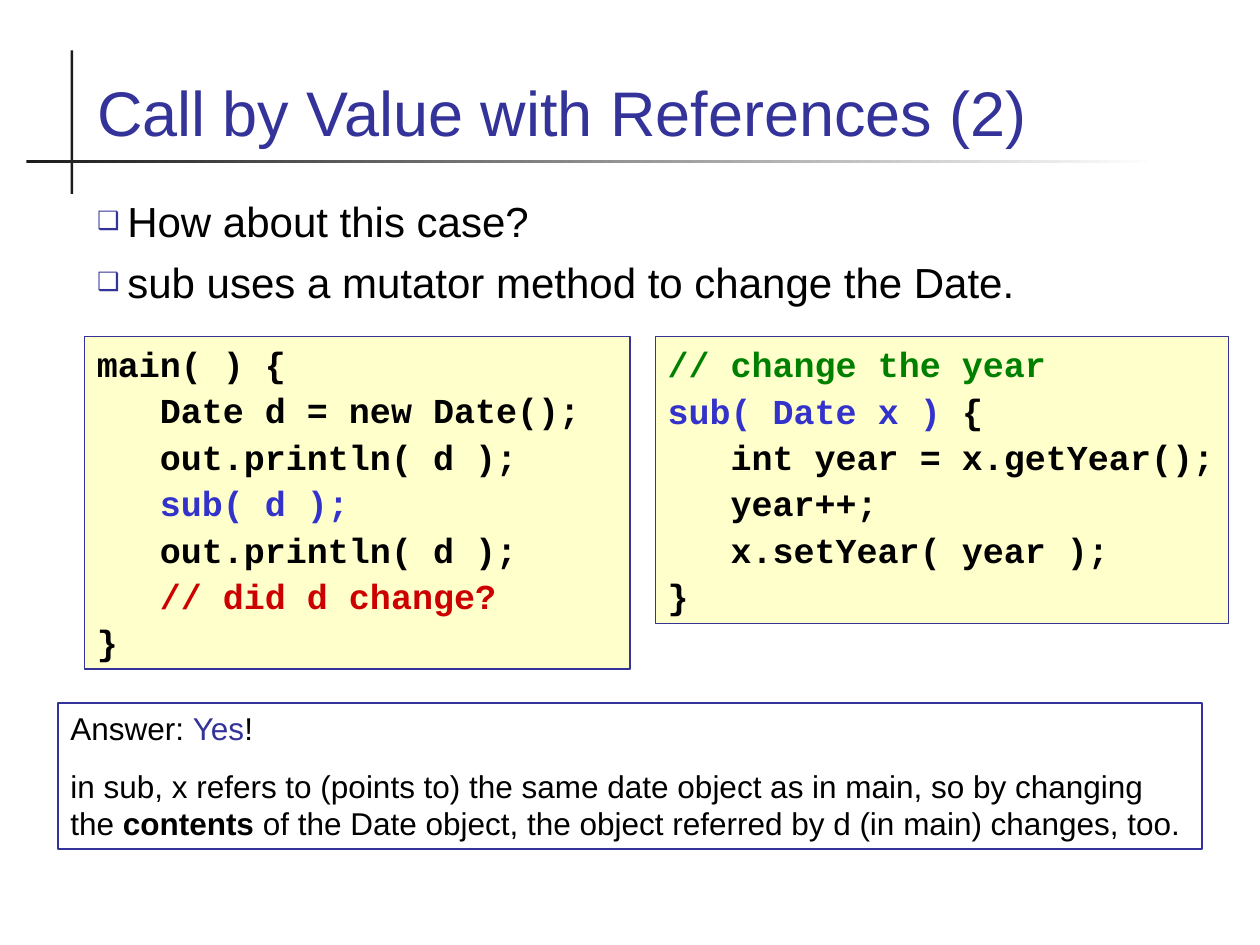
from collections import namedtuple
from dataclasses import dataclass

from lxml.etree import SubElement
from pptx import Presentation
from pptx.dml.color import RGBColor as RGB
from pptx.enum.shapes import MSO_SHAPE as Shape
from pptx.enum.text import MSO_ANCHOR as Anchor, MSO_AUTO_SIZE as AutoSize, PP_ALIGN as Align
from pptx.oxml.ns import qn
from pptx.util import Inches, Pt

Box = namedtuple("Box", "left top width height")  # in grid columns and rows
COLUMNS, ROWS = 100, 75


@dataclass(frozen=True)
class Theme:
    accent: RGB = RGB(0x33, 0x33, 0x99)
    ink: RGB = RGB(0, 0, 0)
    rule: RGB = RGB(0x1C, 0x1C, 0x1C)
    paper: RGB = RGB(0xFF, 0xFF, 0xFF)
    code_fill: RGB = RGB(0xFF, 0xFF, 0xCC)
    call: RGB = RGB(0x33, 0x33, 0xCC)
    question: RGB = RGB(0xCC, 0, 0)
    comment: RGB = RGB(0, 0x80, 0)
    sans: str = "Arial"
    mono: str = "Courier New"
    title_size: int = 36
    body_size: int = 24
    code_size: int = 20
    note_size: int = 18


THEME = Theme()

prs = Presentation()
prs.slide_width, prs.slide_height = Inches(10), Inches(7.5)
COLUMN, ROW = prs.slide_width / COLUMNS, prs.slide_height / ROWS


def place(part, box):
    part.left, part.width = int(box.left * COLUMN), int(box.width * COLUMN)
    part.top, part.height = int(box.top * ROW), int(box.height * ROW)


def add_panel(slide, box):
    panel = slide.shapes.add_shape(Shape.RECTANGLE, 0, 0, 0, 0)
    place(panel, box)
    panel.shadow.inherit = False
    return panel


def set_indent(paragraph, margin, hanging=0):
    props = paragraph._p.get_or_add_pPr()
    props.set("marL", str(Inches(margin)))
    props.set("indent", str(-Inches(hanging)))
    return props


def add_bullet(paragraph):
    props = set_indent(paragraph, 0.24, 0.24)
    colour = SubElement(props, qn("a:buClr"))
    SubElement(colour, qn("a:srgbClr"), val=str(THEME.accent))
    SubElement(props, qn("a:buSzPct"), val="60000")
    SubElement(props, qn("a:buChar"), char="❑")


def add_tab(paragraph):
    tabs = SubElement(set_indent(paragraph, 0), qn("a:tabLst"))
    SubElement(tabs, qn("a:tab"), pos=str(Inches(0.49)), algn="l")


def write(frame, lines, font, size, colour, before=0, bold=False,
          prepare=None, anchor=Anchor.TOP):
    """Each line is a list of (text, format) runs; format holds only the differences."""
    frame.word_wrap = True
    frame.auto_size = AutoSize.NONE
    frame.vertical_anchor = anchor
    for index, line in enumerate(lines):
        paragraph = frame.add_paragraph() if index else frame.paragraphs[0]
        if prepare:
            prepare(paragraph)
        paragraph.alignment = Align.LEFT
        paragraph.space_before = Pt(before if index else 0)
        paragraph.font.name, paragraph.font.size = font, Pt(size)
        paragraph.font.bold = bold
        paragraph.font.color.rgb = colour
        for text, changes in line:
            run = paragraph.add_run()
            run.text = text
            if "colour" in changes:
                run.font.color.rgb = changes["colour"]
            if "bold" in changes:
                run.font.bold = changes["bold"]


def plain(text):
    return [(text, {})]


def tinted(text, colour):
    return (text, {"colour": colour})


# Crossed rules beside and below the title
def add_rules(slide, box):
    upright = add_panel(slide, Box(box.left + 3.5, box.top, 0.2, box.height))
    upright.fill.solid()
    upright.fill.fore_color.rgb = THEME.rule
    level = add_panel(slide, Box(box.left, box.top + 8.7, box.width, 0.2))
    level.fill.gradient()
    level.fill.gradient_angle = 0
    for stop, colour in zip(level.fill.gradient_stops, (THEME.rule, THEME.paper)):
        stop.color.rgb = colour
    for rule in (upright, level):
        rule.line.fill.background()


def add_title(slide, box, text):
    title = slide.shapes.title
    place(title, box)
    write(title.text_frame, [plain(text)], THEME.sans, THEME.title_size, THEME.accent,
          anchor=Anchor.BOTTOM)


def add_points(slide, box, points):
    body = slide.placeholders[1]
    place(body, box)
    write(body.text_frame, [plain(point) for point in points], THEME.sans,
          THEME.body_size, THEME.ink, before=6, prepare=add_bullet)


def outline(panel):
    panel.line.color.rgb = THEME.accent
    panel.line.width = Pt(0.75)


def add_code(slide, box, lines):
    panel = add_panel(slide, box)
    panel.fill.solid()
    panel.fill.fore_color.rgb = THEME.code_fill
    outline(panel)
    write(panel.text_frame, lines, THEME.mono, THEME.code_size, THEME.ink,
          before=2.5, bold=True, prepare=add_tab)


def add_answer(slide, box, lines):
    panel = add_panel(slide, box)
    panel.fill.background()
    outline(panel)
    write(panel.text_frame, lines, THEME.sans, THEME.note_size, THEME.ink, before=11.2)


def main():
    slide = prs.slides.add_slide(prs.slide_layouts[1])
    add_rules(slide, Box(2.1, 4, 89.9, 11.4))
    add_title(slide, Box(6.7, 2.8, 86.6, 9.5), "Call by Value with References (2)")
    add_points(slide, Box(6.7, 15, 86.6, 11.7), [
        "How about this case?",
        "sub uses a mutator method to change the Date.",
    ])

    # Caller on the left, called method on the right
    add_code(slide, Box(6.7, 26.7, 43.3, 26.4), [
        plain("main( ) {"),
        plain("\tDate d = new Date();"),
        plain("\tout.println( d );"),
        [tinted("\tsub( d );", THEME.call)],
        plain("\tout.println( d );"),
        [tinted("\t// did d change?", THEME.question)],
        plain("}"),
    ])
    add_code(slide, Box(52, 26.7, 45.5, 22.8), [
        [tinted("// change the year", THEME.comment)],
        [tinted("sub( Date x )", THEME.call), (" {", {})],
        plain("\tint year = x.getYear();"),
        plain("\tyear++;"),
        plain("\tx.setYear( year );"),
        plain("}"),
    ])

    add_answer(slide, Box(4.6, 55.8, 90.8, 11.6), [
        [("Answer: ", {}), tinted("Yes", THEME.accent), ("!", {})],
        [("in sub, x refers to (points to) the same date object as in main, "
          "so by changing the ", {}),
         ("contents", {"bold": True}),
         (" of the Date object, the object referred by d (in main) changes, too.", {})],
    ])
    prs.save("out.pptx")


if __name__ == "__main__":
    main()
